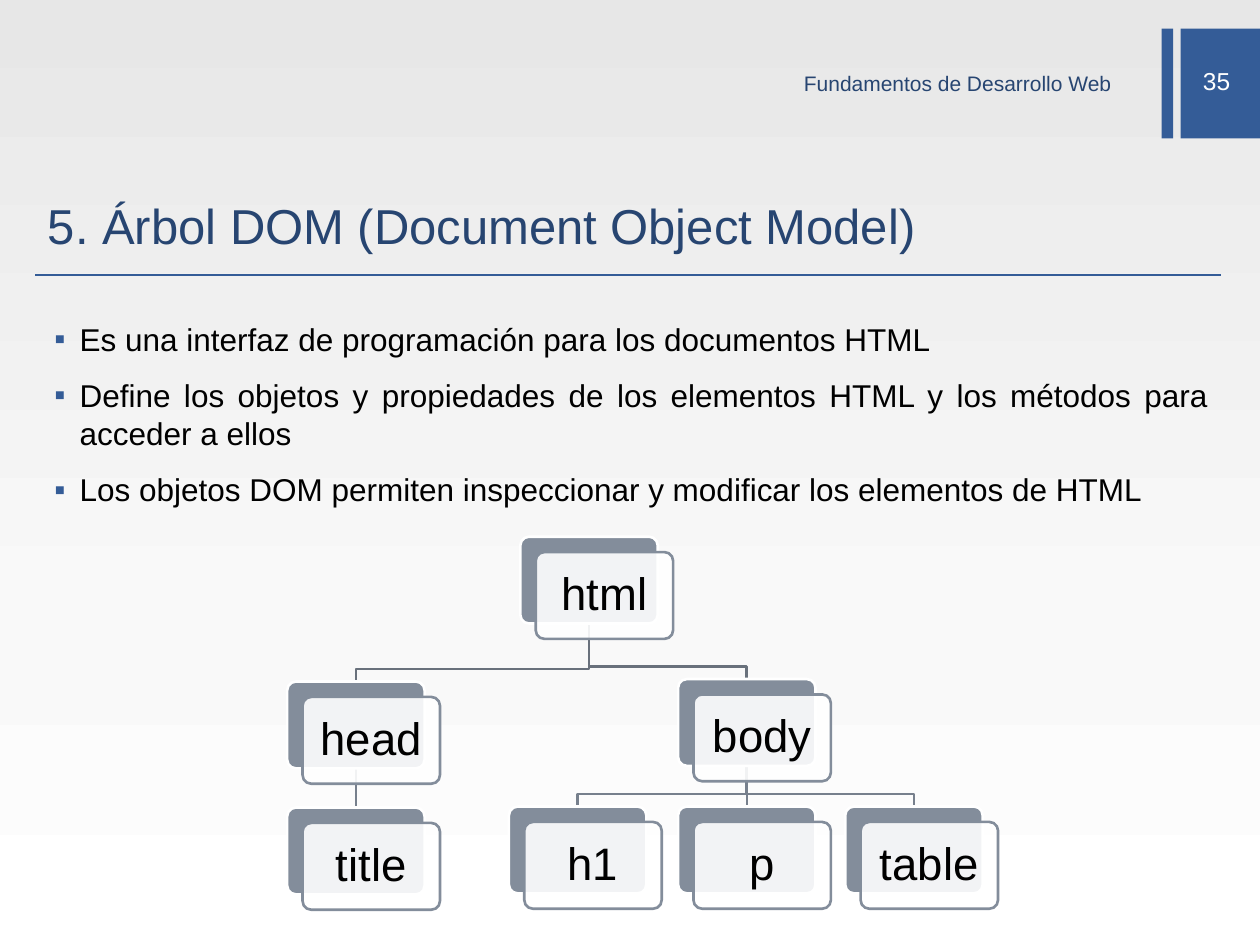
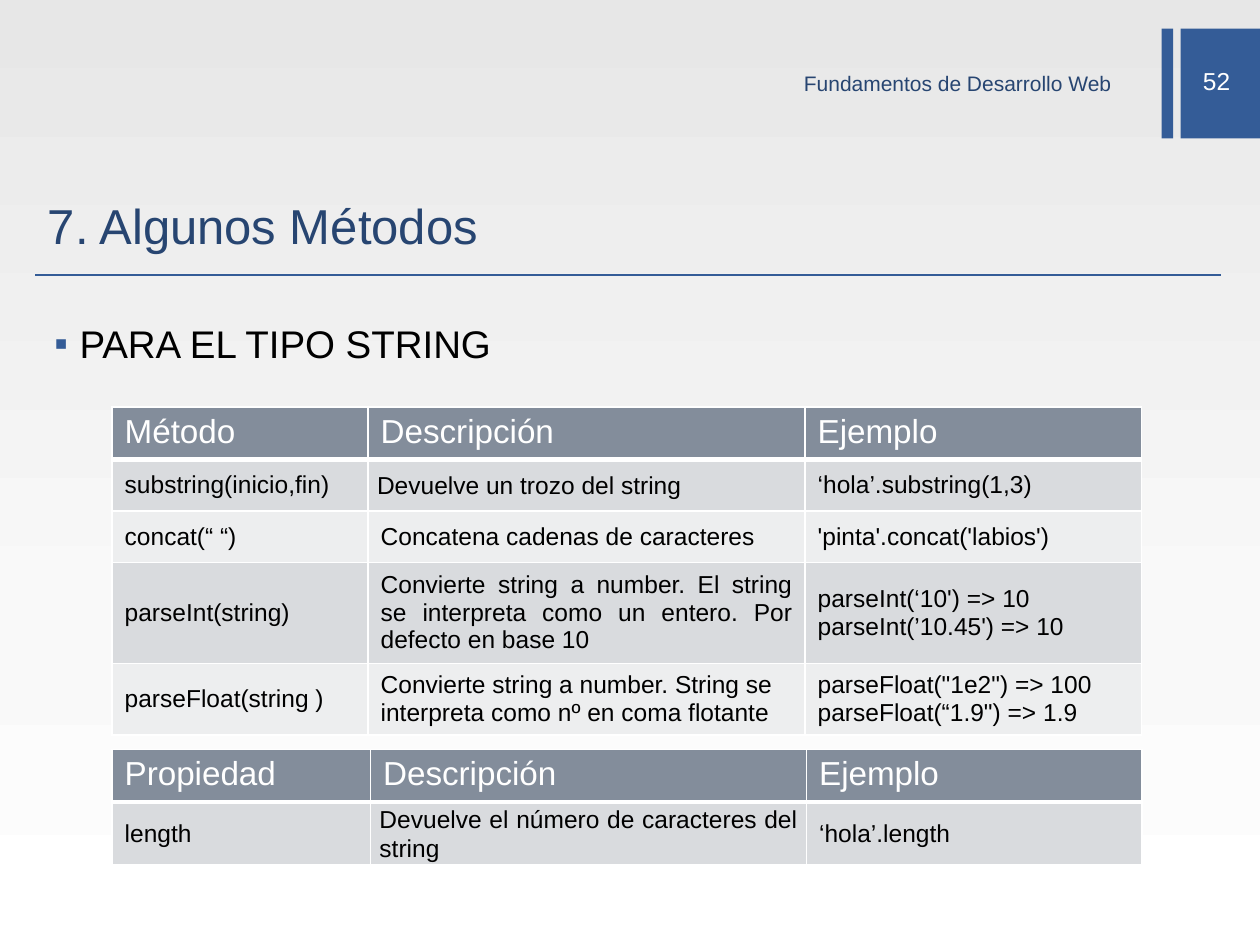
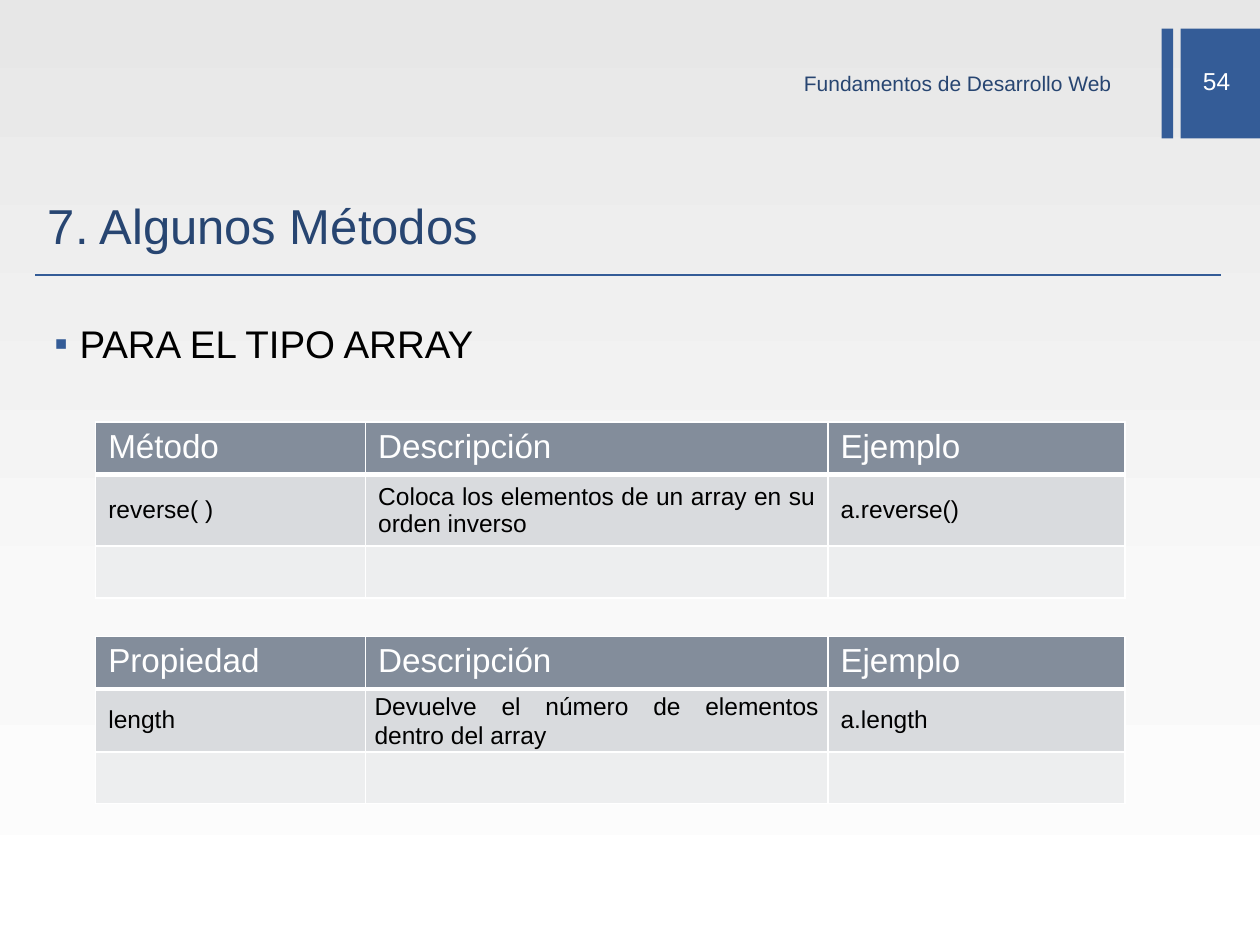
"""Build three lecture slides on the DOM tree and on string and array methods."""
from lxml.etree import SubElement
from pptx import Presentation
from pptx.dml.color import RGBColor
from pptx.enum.shapes import MSO_CONNECTOR, MSO_SHAPE
from pptx.enum.text import MSO_ANCHOR, PP_ALIGN
from pptx.oxml.ns import qn
from pptx.util import Cm, Pt

FONT = "Arial"
BLUE, NAVY, SLATE = "345C97", "274571", "838D9B"
BLACK, WHITE = "000000", "FFFFFF"
BAND_FILLS = ("D9DBDE", "EDEEEF")
BACKGROUND_STOPS = ((0, "E7E7E7"), (65, "F9F9F9"), (100, "FFFFFF"))
COURSE = "Fundamentos de Desarrollo Web"
BANDS = ((23.42, 0.23), (23.8, 1.6))

BOX_WIDTH, BOX_HEIGHT, BOX_OFFSET, BEND_GAP = 2.77, 1.75, 0.31, 0.25
NODES = {
    "html": (10.49, 10.82),
    "head": (5.79, 13.74),
    "title": (5.79, 16.28),
    "body": (13.67, 13.69),
    "h1": (10.26, 16.26),
    "p": (13.67, 16.26),
    "table": (17.04, 16.26),
}
BRANCHES = (
    ("body", "table", "77808D"),
    ("body", "p", "77808D"),
    ("body", "h1", "77808D"),
    ("html", "body", "69717C"),
    ("head", "title", "77808D"),
    ("html", "head", "69717C"),
)

DESCRIPTION_STYLES = {
    "plain": {},
    "justified": {"align": PP_ALIGN.JUSTIFY},
    "tight": {"align": PP_ALIGN.JUSTIFY, "spacing": 1.07},
}
EMPTY_ROW = ("plain", ("", "", ""))
METHOD_HEADER = ("Método", "Descripción", "Ejemplo")
PROPERTY_HEADER = ("Propiedad", "Descripción", "Ejemplo")

SLIDES = (
    {
        "number": 35,
        "title": "5. Árbol DOM (Document Object Model)",
        "size": 18,
        "bullets": (
            "Es una interfaz de programación para los documentos HTML",
            "Define los objetos y propiedades de los elementos HTML y los métodos para acceder a ellos",
            "Los objetos DOM permiten inspeccionar y modificar los elementos de HTML",
        ),
        "tree": True,
    },
    {
        "number": 52,
        "title": "7. Algunos Métodos",
        "size": 22,
        "bullets": ("PARA EL TIPO STRING",),
        "tables": (
            {
                "at": (2.26, 8.2),
                "columns": (5.16, 8.81, 6.78),
                "header": METHOD_HEADER,
                "rows": (
                    ("tight", ("substring(inicio,fin)", "Devuelve un trozo del string",
                               "‘hola’.substring(1,3)")),
                    ("plain", ("concat(“ “)", "Concatena cadenas de caracteres",
                               "'pinta'.concat('labios')")),
                    ("justified", ("parseInt(string)",
                                   "Convierte string a number. El string se interpreta "
                                   "como un entero. Por defecto en base 10",
                                   "parseInt(‘10') => 10\nparseInt(’10.45') => 10")),
                    ("plain", ("parseFloat(string )",
                               "Convierte string a number. String se interpreta "
                               "como nº en coma flotante",
                               "parseFloat(\"1e2\") => 100\nparseFloat(“1.9\") => 1.9")),
                ),
            },
            {
                "at": (2.26, 15.11),
                "columns": (5.21, 8.79, 6.76),
                "header": PROPERTY_HEADER,
                "rows": (
                    ("tight", ("length", "Devuelve el número de caracteres del string",
                               "‘hola’.length")),
                ),
            },
        ),
    },
    {
        "number": 54,
        "title": "7. Algunos Métodos",
        "size": 22,
        "bullets": ("PARA EL TIPO ARRAY",),
        "tables": (
            {
                "at": (1.93, 8.51),
                "columns": (5.44, 9.32, 5.99),
                "header": METHOD_HEADER,
                "rows": (
                    ("justified", ("reverse( )",
                                   "Coloca los elementos de un array en su orden inverso",
                                   "a.reverse()")),
                    EMPTY_ROW,
                ),
            },
            {
                "at": (1.93, 12.83),
                "columns": (5.44, 9.32, 5.99),
                "header": PROPERTY_HEADER,
                "rows": (
                    ("tight", ("length", "Devuelve el número de elementos dentro del array",
                               "a.length")),
                    EMPTY_ROW,
                ),
            },
        ),
    },
)


def rgb(color):
    return RGBColor.from_string(color)


def lengths(*values):
    return [Cm(value) for value in values]


def place(shape, *box):
    shape.left, shape.top, shape.width, shape.height = lengths(*box)


def write_text(frame, text, size=14, color=BLACK, align=PP_ALIGN.LEFT, spacing=None, after=None):
    for index, line in enumerate(text.split("\n")):
        paragraph = frame.add_paragraph() if index else frame.paragraphs[0]
        paragraph.alignment = align
        if spacing is not None:
            paragraph.line_spacing = spacing
        if after is not None:
            paragraph.space_after = Pt(after)
        run = paragraph.add_run()
        run.text = line
        run.font.name, run.font.size, run.font.bold = FONT, Pt(size), False
        run.font.color.rgb = rgb(color)


def set_line(shape, color, width):
    shape.line.color.rgb = rgb(color)
    shape.line.width = Pt(width)


def add_box(slide, kind, box, fill, outline=None):
    shape = slide.shapes.add_shape(kind, *lengths(*box))
    shape.shadow.inherit = False
    shape.fill.solid()
    shape.fill.fore_color.rgb = rgb(fill)
    if outline:
        set_line(shape, outline, 1.5)
    else:
        shape.line.fill.background()
    return shape


def add_line(slide, start, end, color, width):
    connector = slide.shapes.add_connector(MSO_CONNECTOR.STRAIGHT, *lengths(*start, *end))
    set_line(connector, color, width)
    SubElement(connector.element.find(qn("p:spPr")), qn("a:effectLst"))


def add_label(slide, text, box, margins, **text_format):
    frame = slide.shapes.add_textbox(*lengths(*box)).text_frame
    frame.word_wrap = True
    frame.vertical_anchor = MSO_ANCHOR.MIDDLE
    frame.margin_top, frame.margin_bottom = lengths(*margins)
    write_text(frame, text, **text_format)


def set_background(master):
    fill = master.background.fill
    fill.gradient()
    fill.gradient_angle = 270
    stops = next(master.element.iter(qn("a:gsLst")))
    for stop in list(stops):
        stops.remove(stop)
    for position, color in BACKGROUND_STOPS:
        stop = SubElement(stops, qn("a:gs"), pos=str(position * 1000))
        SubElement(stop, qn("a:srgbClr"), val=color)


def add_bullet(paragraph):
    properties = paragraph._p.get_or_add_pPr()
    properties.set("marL", str(Cm(0.64)))
    properties.set("indent", str(Cm(-0.51)))
    color = SubElement(properties, qn("a:buClr"))
    SubElement(color, qn("a:srgbClr"), val=BLUE)
    SubElement(properties, qn("a:buFont"), typeface=FONT)
    SubElement(properties, qn("a:buChar"), char="▪")


def add_frame(slide, content):
    for left, width in BANDS:
        add_box(slide, MSO_SHAPE.RECTANGLE, (left, 0.58, width, 2.21), BLUE)
    add_label(slide, str(content["number"]), (23.7, 1.12, 1.65, 1.02), (0.13, 0.13),
              color=WHITE, align=PP_ALIGN.CENTER)
    add_line(slide, (0.71, 5.54), (24.61, 5.54), BLUE, 1)
    add_label(slide, COURSE, (12.65, 1.32, 10.01, 0.84), (0, 0.13),
              size=12, color=NAVY, align=PP_ALIGN.RIGHT)
    title, body = slide.placeholders
    place(title, 0.71, 3.53, 23.9, 2.01)
    title.text_frame.vertical_anchor = MSO_ANCHOR.MIDDLE
    write_text(title.text_frame, content["title"], size=28, color=NAVY)
    place(body, 0.71, 6.32, 23.9, 11.99)
    write_text(body.text_frame, "\n".join(content["bullets"]), size=content["size"],
               align=PP_ALIGN.JUSTIFY, after=7)
    for paragraph in body.text_frame.paragraphs:
        add_bullet(paragraph)


def add_branch(slide, parent, child, color):
    (parent_left, parent_top), (child_left, child_top) = NODES[parent], NODES[child]
    start = (parent_left + BOX_WIDTH / 2, parent_top + BOX_HEIGHT)
    end = (child_left + BOX_WIDTH / 2, child_top)
    if start[0] == end[0]:
        add_line(slide, start, end, color, 1.5)
        return
    bend = child_top - BEND_GAP
    points = [(start[0], bend), (end[0], bend), end]
    builder = slide.shapes.build_freeform(*lengths(*start))
    builder.add_line_segments([lengths(*point) for point in points], close=False)
    branch = builder.convert_to_shape()
    branch.shadow.inherit = False
    branch.fill.background()
    set_line(branch, color, 1.5)


def add_node(slide, name, left, top):
    size = (BOX_WIDTH, BOX_HEIGHT)
    back = add_box(slide, MSO_SHAPE.ROUNDED_RECTANGLE, (left, top, *size), SLATE, WHITE)
    front = add_box(slide, MSO_SHAPE.ROUNDED_RECTANGLE,
                    (left + BOX_OFFSET, top + BOX_OFFSET, *size), WHITE, SLATE)
    for shape in (back, front):
        shape.adjustments[0] = 0.1
    fill_color = front.element.find(qn("p:spPr")).find(qn("a:solidFill"))[0]
    SubElement(fill_color, qn("a:alpha"), val="90000")
    frame = front.text_frame
    frame.margin_left = frame.margin_right = Cm(0.1)
    frame.vertical_anchor = MSO_ANCHOR.MIDDLE
    write_text(frame, name, size=26, align=PP_ALIGN.CENTER, spacing=0.9)


def add_tree(slide):
    for branch in BRANCHES:
        add_branch(slide, *branch)
    for name, position in NODES.items():
        add_node(slide, name, *position)


def format_cell(cell, fill, is_header):
    properties = cell._tc.get_or_add_tcPr()
    widths = {"lnL": 1, "lnR": 1, "lnT": 1, "lnB": 3 if is_header else 1}
    if not is_header:
        del widths["lnT"]
    for side, width in widths.items():
        border = SubElement(properties, qn(f"a:{side}"), w=str(Pt(width)))
        SubElement(SubElement(border, qn("a:solidFill")), qn("a:srgbClr"), val=WHITE)
    cell.fill.solid()
    cell.fill.fore_color.rgb = rgb(fill)


def add_method_table(slide, content):
    columns, rows = content["columns"], content["rows"]
    row_height = 1.04
    box = (*content["at"], sum(columns), row_height * (len(rows) + 1))
    table = slide.shapes.add_table(len(rows) + 1, len(columns), *lengths(*box)).table
    table.horz_banding = False
    for column, width in zip(table.columns, columns):
        column.width = Cm(width)
    for row in table.rows:
        row.height = Cm(row_height)
    for index, text in enumerate(content["header"]):
        cell = table.cell(0, index)
        format_cell(cell, SLATE, True)
        write_text(cell.text_frame, text, size=19, color=WHITE)
    for row_index, (style, texts) in enumerate(rows, 1):
        for index, text in enumerate(texts):
            cell = table.cell(row_index, index)
            format_cell(cell, BAND_FILLS[(row_index - 1) % 2], False)
            cell.vertical_anchor = MSO_ANCHOR.MIDDLE
            is_description = index == 1
            if is_description and style == "tight":
                cell.margin_left = cell.margin_right = Cm(0.18)
                cell.margin_top = cell.margin_bottom = 0
            if text:
                text_format = DESCRIPTION_STYLES[style] if is_description else {}
                write_text(cell.text_frame, text, **text_format)


def main():
    presentation = Presentation()
    presentation.slide_width, presentation.slide_height = lengths(25.4, 19.05)
    set_background(presentation.slide_master)
    for content in SLIDES:
        slide = presentation.slides.add_slide(presentation.slide_layouts[1])
        add_frame(slide, content)
        if content.get("tree"):
            add_tree(slide)
        for table in content.get("tables", ()):
            add_method_table(slide, table)
    presentation.save("out.pptx")


if __name__ == "__main__":
    main()
